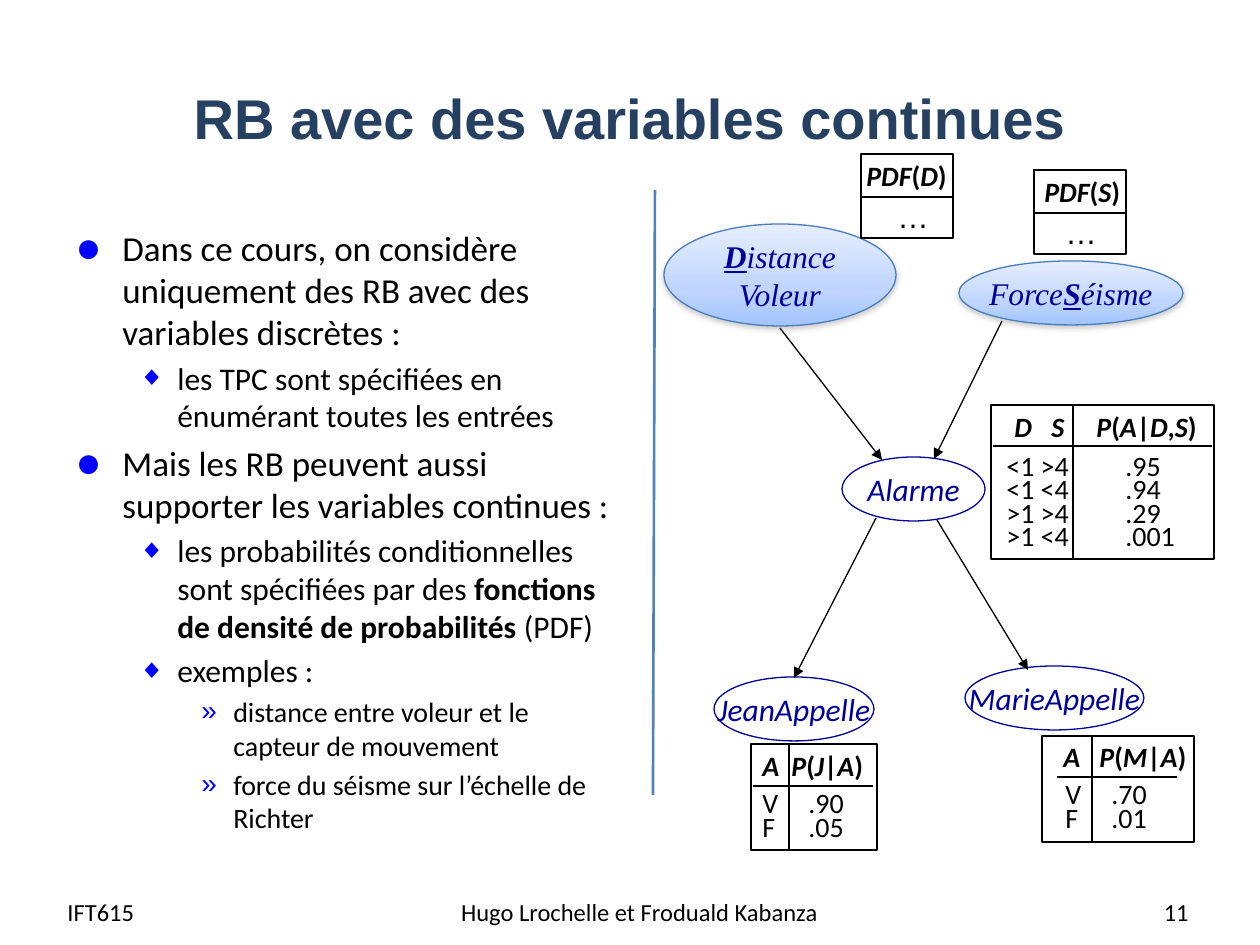
from itertools import groupby
from lxml import etree
from pptx import Presentation
from pptx.dml.color import RGBColor
from pptx.enum.shapes import MSO_CONNECTOR as LINK, MSO_SHAPE as SHAPE
from pptx.enum.text import MSO_ANCHOR as ANCHOR, PP_ALIGN as ALIGN
from pptx.oxml import parse_xml
from pptx.oxml.ns import nsdecls, qn
from pptx.util import Emu, Pt

BLACK, NAVY, BLUE = "000000", "000099", "0000FF"
BULLETS = [  # char, size %, text size, left px, hanging px
    ("●", 125, 20, 47, 47),
    ("◆", 85, 18, 102, 39),
    ("»", 100, 16, 158, 32),
]
POINTS = [
    (0, ["Dans ce cours, on considère uniquement des RB avec des variables discrètes :"]),
    (1, ["les TPC sont spécifiées en énumérant toutes les entrées"]),
    (0, ["Mais les RB peuvent aussi supporter les variables continues :"]),
    (1, ["les probabilités conditionnelles sont spécifiées par des ",
         ("fonctions de densité de probabilités ", "b"), "(PDF)"]),
    (1, ["exemples :"]),
    (2, ["distance entre voleur et le capteur de mouvement"]),
    (2, ["force du séisme sur l’échelle de Richter"]),
]


def px(n):
    return Emu(round(n * 914400 / 126))


def rgb(code):
    return RGBColor.from_string(code)


def add(parent, tag, **attrs):
    node = etree.SubElement(parent, qn(tag))
    for key, val in attrs.items():
        node.set(key, str(val))
    return node


def write(frame, paras, size=16, font="Calibri", color=BLACK, align=ALIGN.LEFT,
          anchor=ANCHOR.TOP, wrap=True, lead=None, tabs=(), style=""):
    """Fill a frame; a run is a string or (string, style letters b, i, u)."""
    frame.word_wrap = wrap
    frame.vertical_anchor = anchor
    for i, runs in enumerate(paras):
        para = frame.paragraphs[0] if i == 0 else frame.add_paragraph()
        para.alignment = align
        if lead:
            para.line_spacing = lead
        if tabs:
            stops = add(para._p.get_or_add_pPr(), "a:tabLst")
            for pos in tabs:
                add(stops, "a:tab", pos=px(pos), algn="l")
        for item in runs:
            words, mark = item if isinstance(item, tuple) else (item, "")
            run = para.add_run()
            run.text = words
            face = run.font
            face.name, face.size = font, Pt(size)
            face.color.rgb = rgb(color)
            face.bold = "b" in style + mark
            face.italic = "i" in style + mark
            face.underline = "u" in style + mark


def text(slide, box, paras, **fmt):
    frame = slide.shapes.add_textbox(*map(px, box)).text_frame
    write(frame, paras, **fmt)
    return frame


def math(words):
    """Split a formula into runs, with its letters in italics."""
    return [("".join(part), "i" if alpha else "")
            for alpha, part in groupby(words, str.isalpha)]


def bullets(slide, box):
    frame = text(slide, box, [])
    for i, (level, runs) in enumerate(POINTS):
        char, scale, size, left, hang = BULLETS[level]
        para = frame.paragraphs[0] if i == 0 else frame.add_paragraph()
        para.level = level
        if i:
            para.space_before = Pt(size * 0.2)
        props = para._p.get_or_add_pPr()
        props.set("marL", str(px(left)))
        props.set("indent", str(-px(hang)))
        add(add(props, "a:buClr"), "a:srgbClr", val=BLUE)
        add(props, "a:buSzPct", val=scale * 1000)
        add(props, "a:buFont", typeface="Arial")
        add(props, "a:buChar", char=char)
        for item in runs:
            words, mark = item if isinstance(item, tuple) else (item, "")
            run = para.add_run()
            run.text = words
            run.font.name, run.font.size = "Calibri", Pt(size)
            run.font.bold = mark == "b"
            run.font.color.rgb = rgb(BLACK)


def line(slide, x1, y1, x2, y2, color=BLACK, width=0.75, arrow=False):
    link = slide.shapes.add_connector(LINK.STRAIGHT, *map(px, (x1, y1, x2, y2)))
    link.line.color.rgb = rgb(color)
    link.line.width = Pt(width)
    if arrow:
        add(link.line._get_or_add_ln(), "a:tailEnd", type="triangle")
    add(link._element.spPr, "a:effectLst")


def shape(slide, kind, box, color):
    form = slide.shapes.add_shape(kind, *map(px, box))
    form.shadow.inherit = False
    form.fill.background()
    form.line.color.rgb = rgb(color)
    form.line.width = Pt(0.75)
    return form


def node(slide, box, paras, color=NAVY, **fmt):
    form = shape(slide, SHAPE.OVAL, box, color)
    write(form.text_frame, paras, size=18, color=NAVY, align=ALIGN.CENTER,
          anchor=ANCHOR.MIDDLE, wrap=False, style="i", **fmt)
    return form


def glossy(slide, box, paras):
    """Node with a blue gradient and a soft shadow."""
    form = node(slide, box, paras, color="4A7EBB", font="Times New Roman")
    props = form._element.spPr
    stops = "".join(
        f'<a:gs pos="{pos}000"><a:srgbClr val="{tint}"/></a:gs>'
        for pos, tint in ((0, "E5EEFF"), (65, "BFD5FF"), (100, "A3C4FF")))
    props.replace(props.find(qn("a:noFill")), parse_xml(
        f'<a:gradFill {nsdecls("a")} rotWithShape="1"><a:gsLst>{stops}</a:gsLst>'
        '<a:lin ang="5400000" scaled="0"/></a:gradFill>'))
    shade = add(props.find(qn("a:effectLst")), "a:outerShdw", blurRad=Pt(3.1),
                dist=Pt(1.6), dir=5400000, rotWithShape=0)
    add(add(shade, "a:srgbClr", val="808080"), "a:alpha", val=38000)


def grid(slide, box, split, rule, head, rows):
    """Probability table; head and rows are (box, paragraphs, tabs)."""
    left, top, wide, high = box
    shape(slide, SHAPE.RECTANGLE, box, BLACK)
    start, end, y = rule
    line(slide, start, y, end, y)
    line(slide, split, top, split, top + high)
    for (place, paras, tabs), fmt in ((head, {"style": "b"}), (rows, {"lead": 0.7})):
        frame = text(slide, place, paras, tabs=tabs, **fmt)
        frame.margin_right = 0


def density(slide, x, y, var, label, dots):
    shape(slide, SHAPE.RECTANGLE, (x, y, 92, 84), BLACK)
    text(slide, (label, y - 8, 139, 93), [math(f"PDF({var})")], lead=1.2, style="b")
    line(slide, x, y + 43, x + 93, y + 43)
    text(slide, (dots, y + 37, 60, 60), [["…"]], size=18, font="Arial")


def main():
    deck = Presentation()
    deck.slide_width, deck.slide_height = px(1260), px(945)
    slide = deck.slides.add_slide(deck.slide_layouts[6])

    text(slide, (63, 38, 1134, 158), [["RB avec des variables continues"]], size=32,
         font="Arial", color="254061", align=ALIGN.CENTER, anchor=ANCHOR.MIDDLE, style="b")
    bullets(slide, (63, 220, 570, 624))
    for left, wide, words, align in (
            (55, 243, "IFT615", ALIGN.LEFT),
            (440, 399, "Hugo Lrochelle et Froduald Kabanza", ALIGN.CENTER),
            (907, 294, "11", ALIGN.RIGHT)):
        text(slide, (left, 887, wide, 50), [[words]], size=14, align=align,
             anchor=ANCHOR.MIDDLE)
    line(slide, 655, 190, 653, 795, color="4F81BD", width=1.5)

    node(slide, (842, 457, 143, 64), [["Alarme"]])
    node(slide, (714, 677, 160, 64), [["JeanAppelle"]])
    node(slide, (965, 666, 179, 64), [["MarieAppelle"]])

    grid(slide, (991, 405, 223, 154), 1073, (993, 1212, 446),
         ((1002, 403, 209, 47), [math("D\tS\tP(A|D,S)")], (37, 82)),
         ((994, 451, 197, 110),
          [["<1 >4\t.95"], ["<1 <4\t.94"], [">1 >4\t.29"], [">1 <4\t.001"]], (119,)))
    grid(slide, (751, 744, 126, 106), 789, (753, 873, 786),
         ((750, 742, 130, 47), [math("A\tP(J|A)")], (29,)),
         ((750, 789, 110, 62), [["V\t.90"], ["F\t.05"]], (46,)))
    grid(slide, (1042, 736, 152, 106), 1092, (1057, 1177, 777),
         ((1051, 733, 151, 47), [math("A\tP(M|A)")], (36,)),
         ((1053, 780, 110, 62), [["V\t.70"], ["F\t.01"]], (46,)))

    for ends in ((780, 328, 882, 460), (1002, 321, 934, 459),
                 (876, 518, 794, 678), (937, 520, 1028, 670)):
        line(slide, *ends, arrow=True)

    glossy(slide, (664, 224, 232, 102), [[("D", "bu"), "istance"], ["Voleur"]])
    glossy(slide, (959, 261, 224, 64), [["Force", ("S", "bu"), "éisme"]])
    density(slide, 1034, 170, "S", 1032, 1053)
    density(slide, 861, 154, "D", 854, 885)
    deck.save("out.pptx")


if __name__ == "__main__":
    main()
